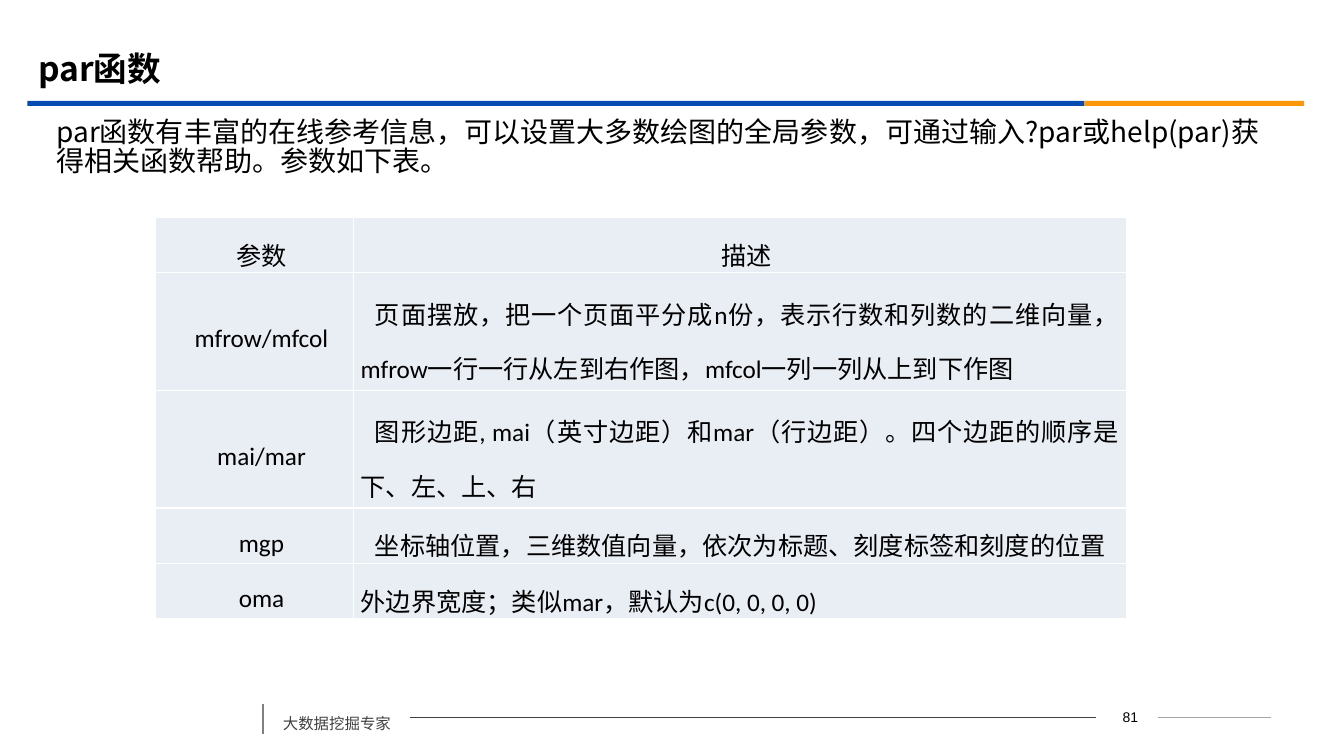
from dataclasses import dataclass

from lxml.etree import SubElement
from pptx import Presentation
from pptx.dml.color import RGBColor
from pptx.enum.shapes import MSO_CONNECTOR, MSO_SHAPE
from pptx.enum.text import MSO_ANCHOR, PP_ALIGN
from pptx.oxml.ns import qn
from pptx.util import Cm, Pt


@dataclass(frozen=True)
class Theme:
    blue: str = "064BB2"
    gold: str = "FB9708"
    pale: str = "E9EDF4"
    white: str = "FFFFFF"
    black: str = "000000"
    dark: str = "404040"
    gray: str = "808080"
    light: str = "A6A6A6"
    sans: str = "Noto Sans CJK SC"
    grid: str = "Calibri"
    page: str = "Arial"
    title: int = 24
    body: int = 20
    cell: int = 18
    foot: int = 11
    count: int = 10


THEME = Theme()

ROWS = [
    ("参数", "描述"),
    ("mfrow/mfcol", "页面摆放，把一个页面平分成n份，表示行数和列数的二维向量，"
     "mfrow一行一行从左到右作图，mfcol一列一列从上到下作图"),
    ("mai/mar", "图形边距, mai（英寸边距）和mar（行边距）。四个边距的顺序是下、左、上、右"),
    ("mgp", "坐标轴位置，三维数值向量，依次为标题、刻度标签和刻度的位置"),
    ("oma", "外边界宽度；类似mar，默认为c(0, 0, 0, 0)"),
]
WIDTHS = (4.98, 19.48)
HEIGHTS = (1.38, 2.97, 2.96, 1.4, 1.4)


def style(para, size, face, color, bold=False):
    font = para.font
    font.size = Pt(size)
    font.name = face
    font.bold = bold
    font.color.rgb = RGBColor.from_string(color)


def add_text(slide, box, text, size, face, color, bold=False,
             align=PP_ALIGN.LEFT, space=1.0, before=0):
    frame = slide.shapes.add_textbox(*map(Cm, box)).text_frame
    frame.word_wrap = True
    frame.vertical_anchor = MSO_ANCHOR.MIDDLE
    para = frame.paragraphs[0]
    para.text = text
    para.alignment = align
    para.line_spacing = space
    para.space_before = Pt(before)
    style(para, size, face, color, bold)


def add_bar(slide, left, width, color):
    bar = slide.shapes.add_shape(
        MSO_SHAPE.RECTANGLE, Cm(left), Cm(2.54), Cm(width), Cm(0.13))
    bar.shadow.inherit = False
    bar.fill.solid()
    bar.fill.fore_color.rgb = RGBColor.from_string(color)
    bar.line.fill.background()


def add_rule(slide, ends, color, width):
    rule = slide.shapes.add_connector(MSO_CONNECTOR.STRAIGHT, *map(Cm, ends))
    rule.line.color.rgb = RGBColor.from_string(color)
    rule.line.width = Pt(width)
    SubElement(rule._element.spPr, qn("a:effectLst"))


def add_edges(cell):
    props = cell._tc.get_or_add_tcPr()
    for spot, side in enumerate(("lnL", "lnR", "lnT", "lnB")):
        edge = SubElement(props, qn(f"a:{side}"), w=str(Pt(1)))
        fill = SubElement(edge, qn("a:solidFill"))
        SubElement(fill, qn("a:srgbClr"), val=THEME.white)
        props.insert(spot, edge)


def fill_cell(cell, text, align, indent):
    cell.margin_left = cell.margin_right = Cm(0.19)
    cell.margin_top = cell.margin_bottom = 0
    cell.vertical_anchor = MSO_ANCHOR.MIDDLE
    cell.fill.solid()
    cell.fill.fore_color.rgb = RGBColor.from_string(THEME.pale)
    add_edges(cell)
    para = cell.text_frame.paragraphs[0]
    para.text = text
    para.alignment = align
    para.line_spacing = 1.5
    para._p.get_or_add_pPr().set("indent", str(Cm(indent)))
    style(para, THEME.cell, THEME.grid, THEME.black)


def add_grid(slide):
    table = slide.shapes.add_table(
        len(ROWS), len(WIDTHS), Cm(3.92), Cm(5.49),
        Cm(sum(WIDTHS)), Cm(sum(HEIGHTS))).table
    for col, width in zip(table.columns, WIDTHS):
        col.width = Cm(width)
    last = len(ROWS) - 1
    for i, (texts, height) in enumerate(zip(ROWS, HEIGHTS)):
        table.rows[i].height = Cm(height)
        for j, text in enumerate(texts):
            prose = i > 0 and j == 1
            align = PP_ALIGN.JUSTIFY if prose else PP_ALIGN.CENTER
            indent = 0 if prose and i == last else 0.36
            fill_cell(table.cell(i, j), text, align, indent)


def add_footer(slide):
    add_rule(slide, (6.63, 17.73, 6.63, 18.49), THEME.gray, 1.25)
    add_rule(slide, (10.34, 18.08, 27.61, 18.08), THEME.dark, 0.75)
    add_rule(slide, (29.18, 18.08, 32.03, 18.08), THEME.light, 0.75)
    add_text(slide, (6.88, 17.63, 3.45, 0.97), "大数据挖掘专家", THEME.foot,
             THEME.sans, THEME.dark, space=1.5, before=6)
    add_text(slide, (27.7, 17.75, 1.57, 0.64), "81", THEME.count,
             THEME.page, THEME.black, align=PP_ALIGN.CENTER)


def main():
    deck = Presentation()
    deck.slide_width, deck.slide_height = Cm(33.87), Cm(19.05)
    slide = deck.slides.add_slide(deck.slide_layouts[6])
    add_bar(slide, 0.69, 26.64, THEME.blue)
    add_bar(slide, 27.33, 5.54, THEME.gold)
    add_text(slide, (0.71, 0.99, 30.48, 1.47), "par函数", THEME.title,
             THEME.sans, THEME.black, bold=True)
    add_text(slide, (1.17, 3.15, 30.86, 1.19),
             "par函数有丰富的在线参考信息，可以设置大多数绘图的全局参数，"
             "可通过输入?par或help(par)获得相关函数帮助。参数如下表。",
             THEME.body, THEME.sans, THEME.black, space=0.85)
    add_grid(slide)
    add_footer(slide)
    deck.save("out.pptx")


if __name__ == "__main__":
    main()
